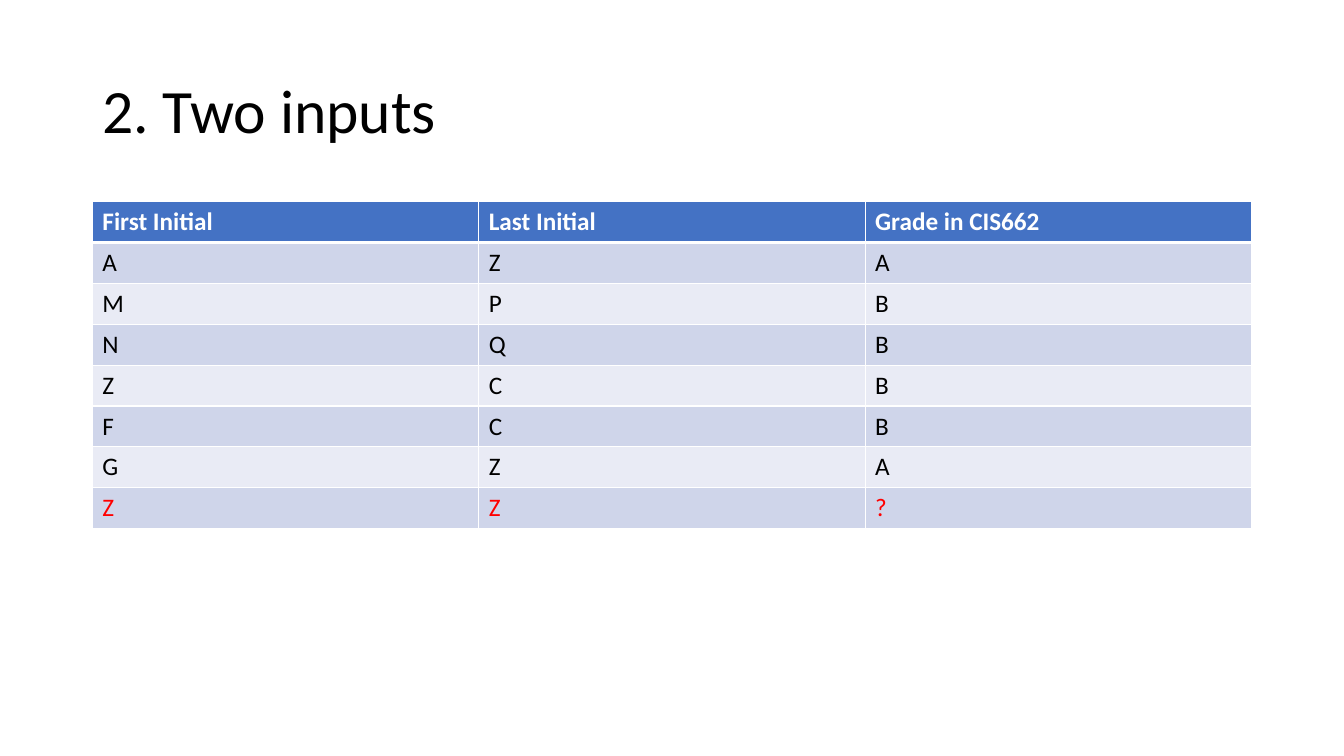
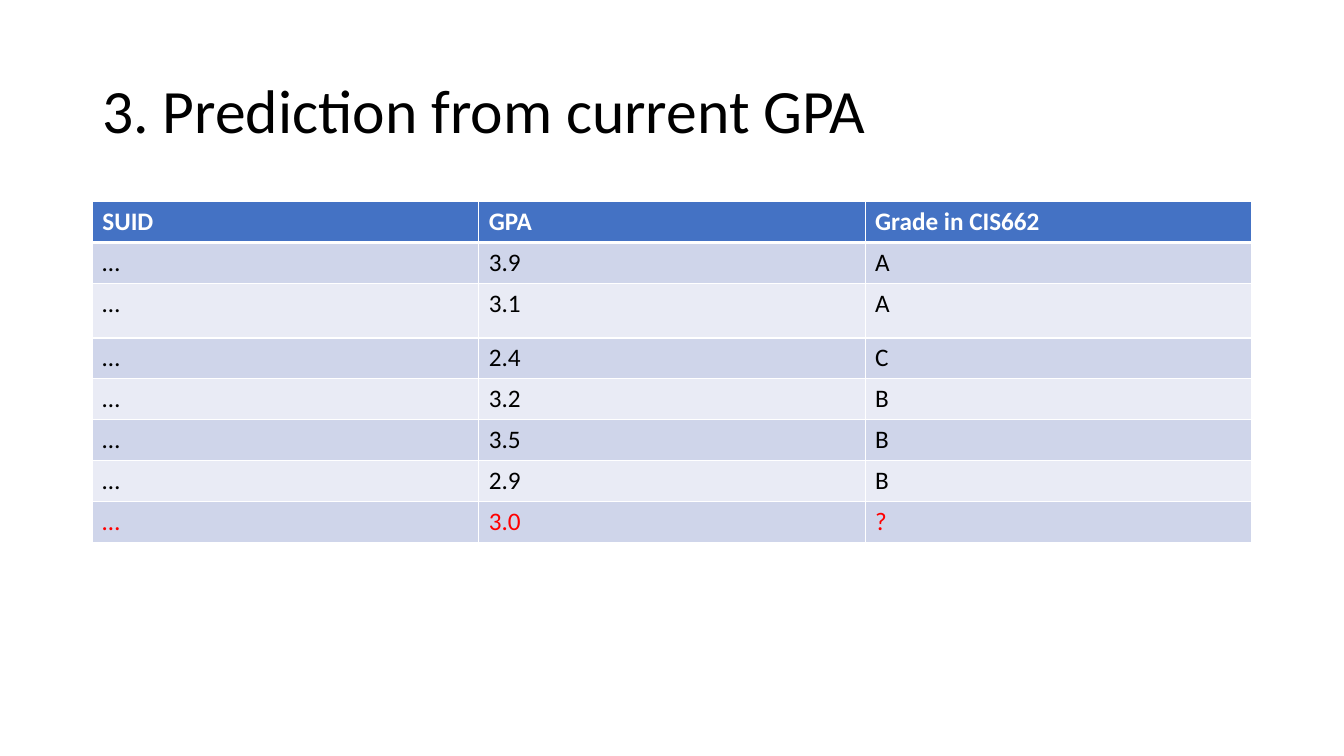
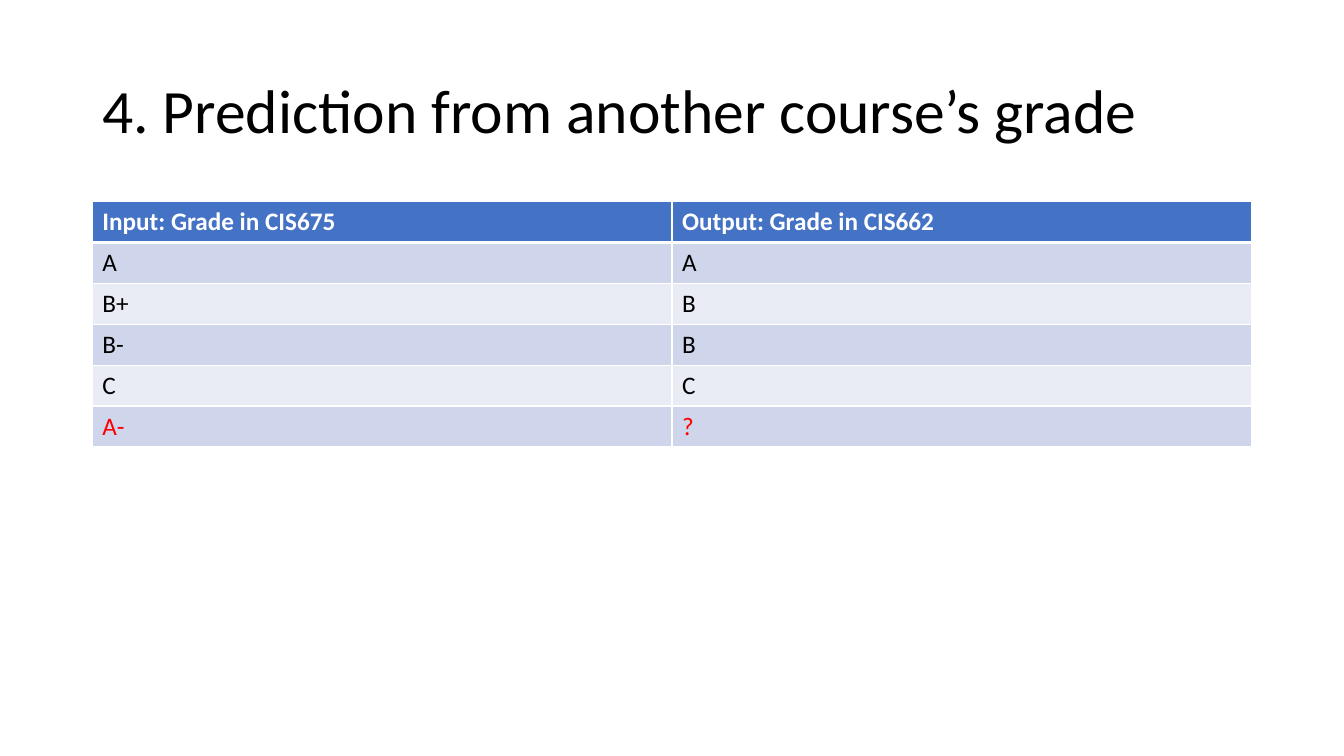
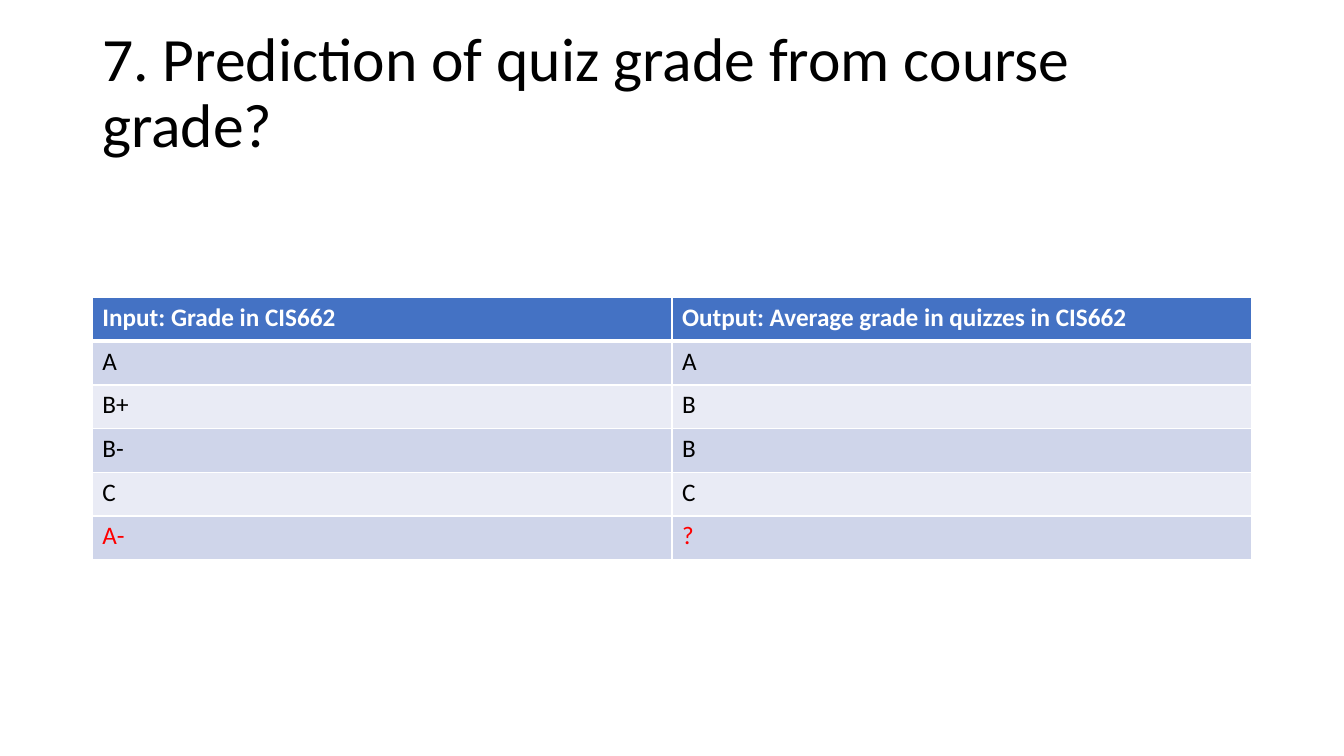
import dataclasses

import lxml.etree
import pptx
import pptx.dml.color
import pptx.enum.text
import pptx.oxml.ns
import pptx.presentation
import pptx.slide
import pptx.table
import pptx.text.text
import pptx.util

FONT = "Calibri"
WHITE = "FFFFFF"
BLACK = "000000"
RED = "FF0000"
HEADER_BLUE = "4472C4"
BAND_FILLS = ("CFD5EA", "E9EBF5")

LEFT = 66
WIDTH = 828
THIN_BORDER = 1
HEADER_BORDER = 3


@dataclasses.dataclass(frozen=True)
class GradeSlide:
    """A titled table: a header row, body rows and a last row to predict."""

    title: str
    rows: tuple[tuple[str, ...], ...]
    title_top: float = 28.75
    title_height: float = 104.4
    table_top: float = 144
    row_height: float = 29.2
    taller_rows: dict[int, float] = dataclasses.field(default_factory=dict)


SLIDES = (
    GradeSlide(
        title="2. Two inputs",
        rows=(
            ("First Initial", "Last Initial", "Grade in CIS662"),
            ("A", "Z", "A"),
            ("M", "P", "B"),
            ("N", "Q", "B"),
            ("Z", "C", "B"),
            ("F", "C", "B"),
            ("G", "Z", "A"),
            ("Z", "Z", "?"),
        ),
    ),
    GradeSlide(
        title="3. Prediction from current GPA",
        rows=(
            ("SUID", "GPA", "Grade in CIS662"),
            ("…", "3.9", "A"),
            ("…", "3.1", "A"),
            ("…", "2.4", "C"),
            ("…", "3.2", "B"),
            ("…", "3.5", "B"),
            ("…", "2.9", "B"),
            ("…", "3.0", "?"),
        ),
        taller_rows={2: 39},
    ),
    GradeSlide(
        title="4. Prediction from another course’s grade",
        rows=(
            ("Input: Grade in CIS675", "Output: Grade in CIS662"),
            ("A", "A"),
            ("B+", "B"),
            ("B-", "B"),
            ("C", "C"),
            ("A-", "?"),
        ),
    ),
    GradeSlide(
        title="7. Prediction of quiz grade from course grade?",
        rows=(
            ("Input: Grade in CIS662", "Output: Average grade in quizzes in CIS662"),
            ("A", "A"),
            ("B+", "B"),
            ("B-", "B"),
            ("C", "C"),
            ("A-", "?"),
        ),
        title_top=-7.9,
        title_height=151.2,
        table_top=212.6,
        row_height=31.2,
    ),
)


def color(value: str) -> pptx.dml.color.RGBColor:
    return pptx.dml.color.RGBColor.from_string(value)


def format_runs(
    text_frame: pptx.text.text.TextFrame, size: float, hex_color: str, bold: bool = False
) -> None:
    for paragraph in text_frame.paragraphs:
        for run in paragraph.runs:
            run.font.name = FONT
            run.font.size = pptx.util.Pt(size)
            run.font.bold = bold
            run.font.color.rgb = color(hex_color)


def set_borders(cell: pptx.table._Cell, top: float, bottom: float) -> None:
    """Draw white borders, thin at the sides; lines must precede the cell fill."""
    properties = cell._tc.get_or_add_tcPr()
    widths = {"lnL": THIN_BORDER, "lnR": THIN_BORDER, "lnT": top, "lnB": bottom}
    for position, (tag, width) in enumerate(widths.items()):
        line = lxml.etree.Element(
            pptx.oxml.ns.qn(f"a:{tag}"), w=str(int(pptx.util.Pt(width)))
        )
        fill = lxml.etree.SubElement(line, pptx.oxml.ns.qn("a:solidFill"))
        lxml.etree.SubElement(fill, pptx.oxml.ns.qn("a:srgbClr"), val=WHITE)
        properties.insert(position, line)


def add_title(slide: pptx.slide.Slide, content: GradeSlide) -> None:
    shape = slide.shapes.add_textbox(
        pptx.util.Pt(LEFT),
        pptx.util.Pt(content.title_top),
        pptx.util.Pt(WIDTH),
        pptx.util.Pt(content.title_height),
    )
    text_frame = shape.text_frame
    text_frame.word_wrap = True
    text_frame.vertical_anchor = pptx.enum.text.MSO_ANCHOR.MIDDLE
    text_frame.text = content.title
    text_frame.paragraphs[0].line_spacing = 0.9
    format_runs(text_frame, 44, BLACK)


def add_grade_table(slide: pptx.slide.Slide, content: GradeSlide) -> None:
    row_count, column_count = len(content.rows), len(content.rows[0])
    heights = [
        content.taller_rows.get(index, content.row_height) for index in range(row_count)
    ]
    table = slide.shapes.add_table(
        row_count,
        column_count,
        pptx.util.Pt(LEFT),
        pptx.util.Pt(content.table_top),
        pptx.util.Pt(WIDTH),
        pptx.util.Pt(sum(heights)),
    ).table
    table.horz_banding = False
    for column in table.columns:
        column.width = pptx.util.Pt(WIDTH / column_count)

    for row_index, values in enumerate(content.rows):
        table.rows[row_index].height = pptx.util.Pt(heights[row_index])
        is_header = row_index == 0
        if is_header:
            fill, text_color = HEADER_BLUE, WHITE
        else:
            fill = BAND_FILLS[(row_index - 1) % 2]
            text_color = RED if row_index == row_count - 1 else BLACK
        top = HEADER_BORDER if row_index == 1 else THIN_BORDER
        bottom = HEADER_BORDER if is_header else THIN_BORDER
        for column_index, value in enumerate(values):
            cell = table.cell(row_index, column_index)
            cell.fill.solid()
            cell.fill.fore_color.rgb = color(fill)
            set_borders(cell, top, bottom)
            cell.text_frame.text = value
            format_runs(cell.text_frame, 18, text_color, bold=is_header)


def add_grade_slide(
    presentation: pptx.presentation.Presentation, content: GradeSlide
) -> None:
    slide = presentation.slides.add_slide(presentation.slide_layouts[6])
    add_title(slide, content)
    add_grade_table(slide, content)


def main() -> None:
    presentation = pptx.Presentation()
    presentation.slide_width = pptx.util.Pt(960)
    presentation.slide_height = pptx.util.Pt(540)
    for content in SLIDES:
        add_grade_slide(presentation, content)
    presentation.save("out.pptx")


if __name__ == "__main__":
    main()
